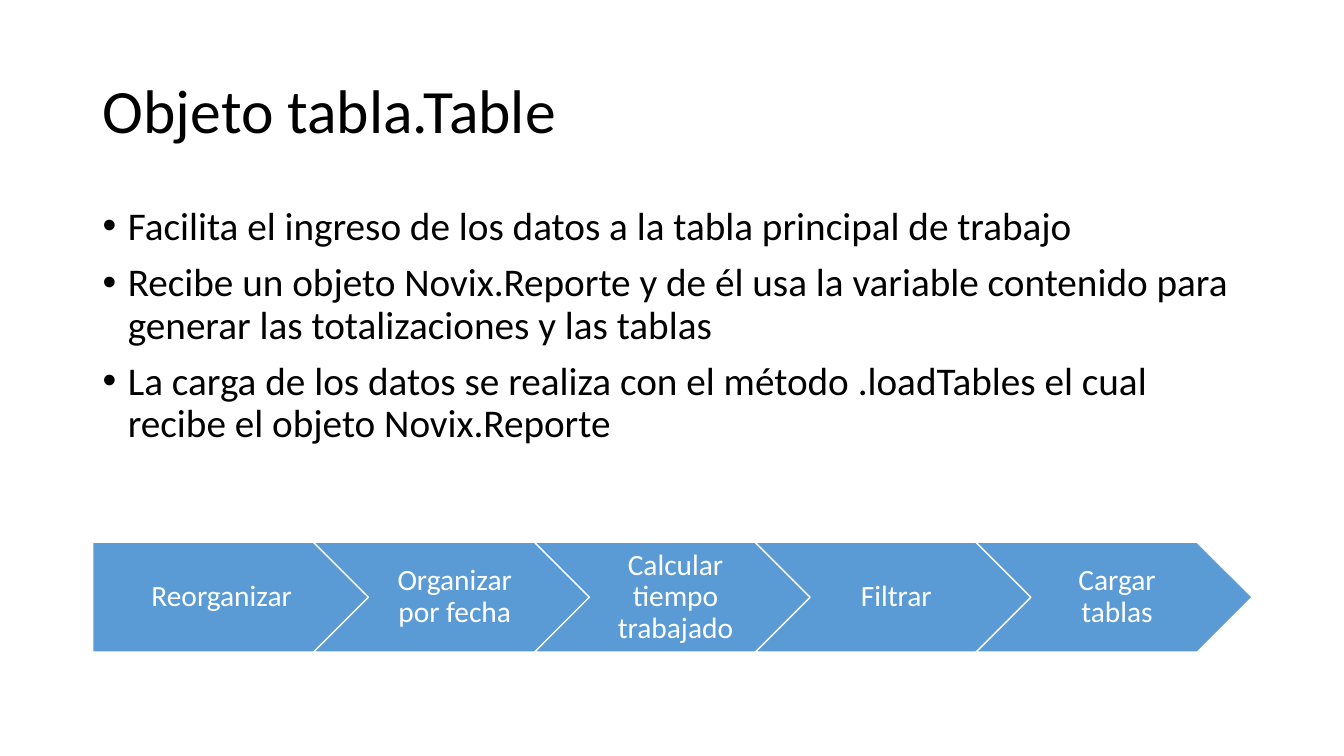
import pptx
import pptx.util
import pptx.dml.color
import pptx.enum.shapes
import pptx.enum.text
from lxml import etree
from pptx.oxml.ns import qn
from pptx.util import Inches

COLORS = {"text": "000000", "step": "5B9BD5", "white": "FFFFFF"}
FONT = "Calibri"
BULLETS = [
    "Facilita el ingreso de los datos a la tabla principal de trabajo",
    "Recibe un objeto Novix.Reporte y de él usa la variable contenido "
    "para generar las totalizaciones y las tablas",
    "La carga de los datos se realiza con el método .loadTables el cual "
    "recibe el objeto Novix.Reporte",
]
STEPS = ["Reorganizar", "Organizar por fecha", "Calcular tiempo trabajado",
         "Filtrar", "Cargar tablas"]
LEFT = 0.92
STEP_TOP, STEP_WIDTH, STEP_HEIGHT, STEP_PITCH = 5.38, 2.74, 1.09, 2.19


def color(name):
    return pptx.dml.color.RGBColor.from_string(COLORS[name])


def format_paragraph(para, size, color_name, align):
    para.font.name = FONT
    para.font.size = pptx.util.Pt(size)
    para.font.color.rgb = color(color_name)
    para.alignment = align
    para.line_spacing = 0.9


def add_bullet(para):
    """Give the paragraph a hanging round bullet."""
    properties = para._p.get_or_add_pPr()
    properties.set("marL", str(Inches(0.25)))
    properties.set("indent", str(-Inches(0.25)))
    font = etree.SubElement(properties, qn("a:buFont"))
    font.set("typeface", "Arial")
    etree.SubElement(properties, qn("a:buChar")).set("char", "•")
    default_run = properties.find(qn("a:defRPr"))
    if default_run is not None:
        properties.append(default_run)


def set_title(page, text):
    title = page.shapes.title
    title.left, title.top = Inches(LEFT), Inches(0.4)
    title.width, title.height = Inches(11.5), Inches(1.45)
    frame = title.text_frame
    frame.text = text
    frame.auto_size = pptx.enum.text.MSO_AUTO_SIZE.NONE
    frame.vertical_anchor = pptx.enum.text.MSO_ANCHOR.MIDDLE
    format_paragraph(frame.paragraphs[0], 44, "text", pptx.enum.text.PP_ALIGN.LEFT)


def add_bullet_list(page, items):
    box = page.shapes.add_textbox(Inches(LEFT), Inches(2), Inches(11.5), Inches(4.76))
    frame = box.text_frame
    frame.word_wrap = True
    for index, item in enumerate(items):
        para = frame.add_paragraph() if index else frame.paragraphs[0]
        para.text = item
        format_paragraph(para, 28, "text", pptx.enum.text.PP_ALIGN.LEFT)
        para.space_before = pptx.util.Pt(10)
        add_bullet(para)


def add_step(page, index, label):
    """Add one arrow of the process; the first has a flat left side."""
    kinds = pptx.enum.shapes.MSO_SHAPE
    step = page.shapes.add_shape(
        kinds.CHEVRON if index else kinds.PENTAGON,
        Inches(LEFT + index * STEP_PITCH), Inches(STEP_TOP),
        Inches(STEP_WIDTH), Inches(STEP_HEIGHT))
    step.shadow.inherit = False
    step.fill.solid()
    step.fill.fore_color.rgb = color("step")
    step.line.color.rgb = color("white")
    step.line.width = pptx.util.Pt(1)
    frame = step.text_frame
    frame.word_wrap = True
    frame.vertical_anchor = pptx.enum.text.MSO_ANCHOR.MIDDLE
    frame.margin_left = Inches(0.09 if index else 0.12)
    frame.margin_right = Inches(0.03)
    frame.margin_top = frame.margin_bottom = Inches(0.06)
    frame.text = label
    format_paragraph(frame.paragraphs[0], 21, "white", pptx.enum.text.PP_ALIGN.CENTER)


def main():
    deck = pptx.Presentation()
    deck.slide_width, deck.slide_height = Inches(13.33), Inches(7.5)
    page = deck.slides.add_slide(deck.slide_layouts.get_by_name("Title Only"))
    set_title(page, "Objeto tabla.Table")
    add_bullet_list(page, BULLETS)
    for index, label in enumerate(STEPS):
        add_step(page, index, label)
    deck.save("out.pptx")


if __name__ == "__main__":
    main()
